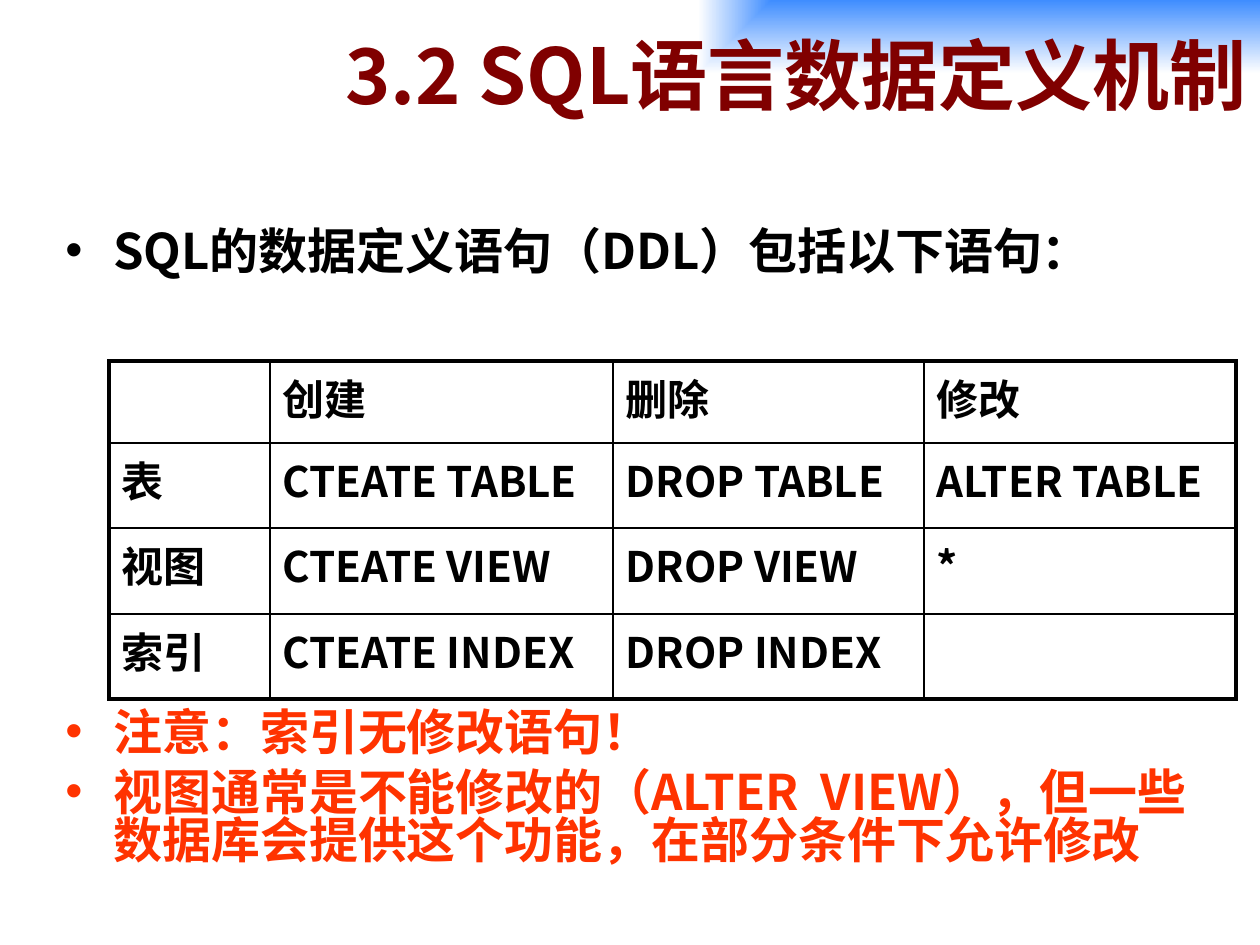
from lxml.etree import SubElement
from pptx import Presentation
from pptx.dml.color import RGBColor
from pptx.enum.shapes import MSO_SHAPE as Preset
from pptx.enum.text import MSO_ANCHOR as Anchor, PP_ALIGN as Align
from pptx.oxml.ns import qn
from pptx.util import Pt

EMU_PER_PX = 914400 // 126
SC, JP = "Noto Sans CJK SC", "Noto Sans CJK JP"
BLACK, MAROON, ORANGE = "000000", "800000", "FF3300"
THIN, THICK = 1, 2.25
ROWS = [
    ["", "创建", "删除", "修改"],
    ["表", "CTEATE TABLE", "DROP TABLE", "ALTER TABLE"],
    ["视图", "CTEATE VIEW", "DROP VIEW", "*"],
    ["索引", "CTEATE INDEX", "DROP INDEX", ""],
]


def px(length):
    """Turn pixels into EMU."""
    return length * EMU_PER_PX


def place(box):
    """Turn a pixel box into EMU."""
    return [px(length) for length in box]


def colour(value):
    """Return the colour of a hex string."""
    return RGBColor.from_string(value)


def child(parent, tag, **attributes):
    """Add a drawing element under a parent."""
    return SubElement(parent, qn(tag), {key: str(value) for key, value in attributes.items()})


def write(paragraph, text, size, face, ink):
    """Write one bold run in Latin and East Asian type."""
    run = paragraph.add_run()
    run.text = text
    formats = {"size": Pt(size), "bold": True, "name": face}
    for key, value in formats.items():
        setattr(run.font, key, value)
    run.font.color.rgb = colour(ink)
    child(run._r.get_or_add_rPr(), "a:ea", typeface=face)


def add_heading(slide, box, text):
    """Place the right-aligned title on its corner gradient."""
    banner = slide.shapes.add_shape(Preset.RECTANGLE, *place(box))
    banner.shadow.inherit = False
    banner.line.fill.background()
    banner.fill.gradient()
    gradient = banner._element.spPr.find(qn("a:gradFill"))
    gradient.clear()
    stops = child(gradient, "a:gsLst")
    for position, shade in ((0, "3F8DFF"), (100000, "FFFFFF")):
        child(child(stops, "a:gs", pos=position), "a:srgbClr", val=shade)
    child(child(gradient, "a:path", path="rect"), "a:fillToRect", l=100000, b=100000)
    frame = banner.text_frame
    frame.word_wrap = True
    frame.vertical_anchor = Anchor.MIDDLE
    heading = frame.paragraphs[0]
    heading.alignment = Align.RIGHT
    write(heading, text, 44, SC, MAROON)


def add_bullets(slide, box, lines, face, ink):
    """Place a list of bulleted paragraphs."""
    frame = slide.shapes.add_textbox(*place(box)).text_frame
    frame.word_wrap = True
    for number, line in enumerate(lines):
        item = frame.add_paragraph() if number else frame.paragraphs[0]
        item.line_spacing = 0.82
        item.space_before = Pt(6.5 if number else 0)
        properties = item._p.get_or_add_pPr()
        properties.set("marL", str(px(48)))
        properties.set("indent", str(px(-48)))
        child(properties, "a:buFont", typeface="Arial")
        child(properties, "a:buChar", char="•")
        write(item, line, 28, face, ink)


def add_border(cell, side, width):
    """Draw one black side of a cell."""
    line = child(cell._tc.get_or_add_tcPr(), f"a:ln{side}", w=Pt(width))
    child(child(line, "a:solidFill"), "a:srgbClr", val=BLACK)


def add_statements(slide, box, rows, widths, heights):
    """Place the statement table with a thick outer frame."""
    last_row, last_column = len(rows) - 1, len(widths) - 1
    table = slide.shapes.add_table(len(rows), len(widths), *place(box)).table
    table.first_row = table.horz_banding = False
    for column, width in zip(table.columns, widths):
        column.width = px(width)
    for row, height in zip(table.rows, heights):
        row.height = px(height)
    for y, texts in enumerate(rows):
        for x, text in enumerate(texts):
            cell = table.cell(y, x)
            outer = {"L": x == 0, "R": x == last_column, "T": y == 0, "B": y == last_row}
            for side, is_outer in outer.items():
                add_border(cell, side, THICK if is_outer else THIN)
            cell.fill.background()
            if text:
                write(cell.text_frame.paragraphs[0], text, 24, JP, BLACK)


def main():
    """Build the slide and save it."""
    deck = Presentation()
    deck.slide_width, deck.slide_height = px(1260), px(945)
    slide = deck.slides.add_slide(deck.slide_layouts[6])
    add_heading(slide, (136, 0, 1124, 147), "3.2 SQL语言数据定义机制")
    add_bullets(slide, (53, 225, 1179, 70), ["SQL的数据定义语句（DDL）包括以下语句："], JP, BLACK)
    notes = [
        "注意：索引无修改语句！",
        "视图通常是不能修改的（ALTER  VIEW），但一些数据库会提供这个功能，在部分条件下允许修改",
    ]
    add_bullets(slide, (53, 706, 1179, 200), notes, SC, ORANGE)
    add_statements(slide, (109, 361, 1127, 338), ROWS, (161, 343, 311, 312), (82, 85, 86, 85))
    deck.save("out.pptx")


if __name__ == "__main__":
    main()
